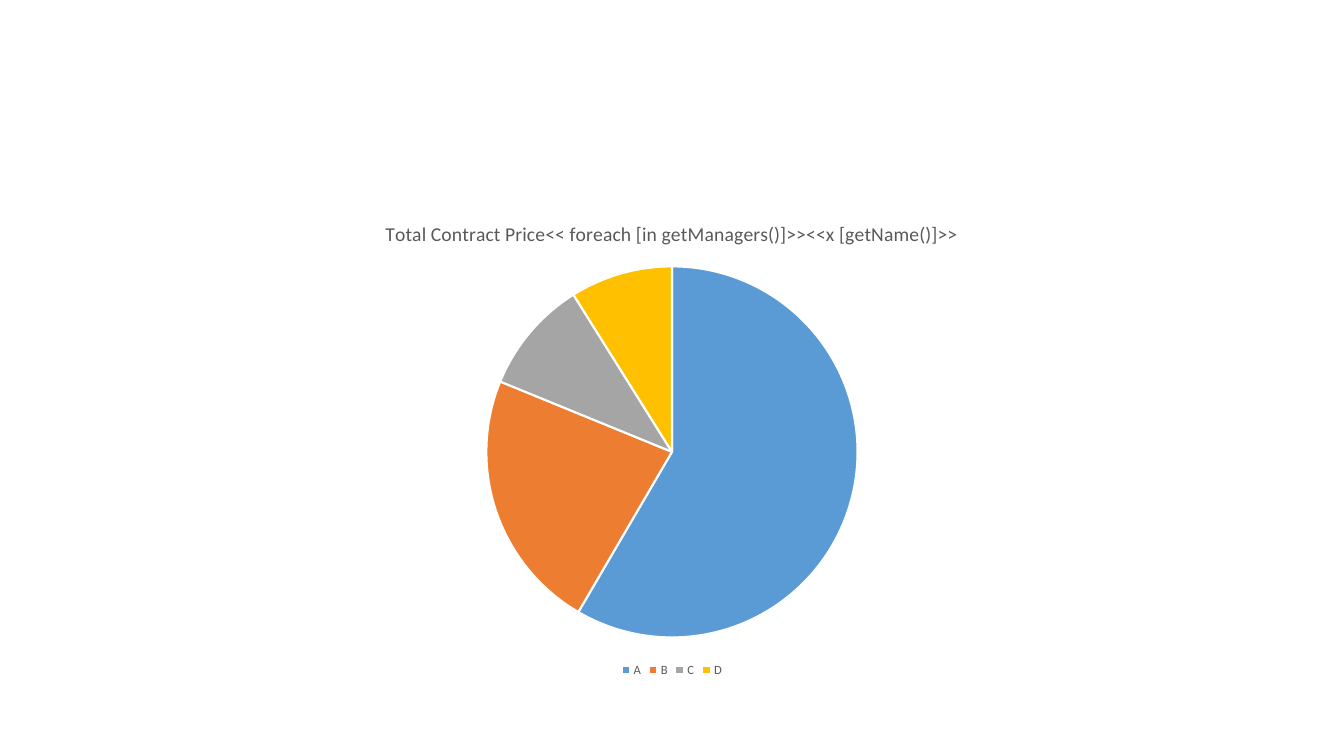
from pptx import Presentation
from pptx.chart.data import CategoryChartData
from pptx.dml.color import RGBColor
from pptx.enum.chart import XL_CHART_TYPE, XL_LEGEND_POSITION
from pptx.util import Inches, Pt

# Content
TITLE = "Total Contract Price<< foreach [in getManagers()]>><<x [getName()]>>"
SLICES = [("A", 59, "5B9BD5"), ("B", 23, "ED7D31"),
          ("C", 10, "A5A5A5"), ("D", 9, "FFC000")]
GREY, WHITE, BLACK = "595959", "FFFFFF", "000000"


def color(hex_value):
    return RGBColor.from_string(hex_value)


def set_font(font, size, hex_value):
    font.name = "Calibri"
    font.size = Pt(size)
    font.bold = False
    font.color.rgb = color(hex_value)


prs = Presentation()
prs.slide_width, prs.slide_height = Inches(13.33), Inches(7.5)
s = prs.slides.add_slide(prs.slide_layouts[6])

# Pie chart, centred across the slide
width, height = Inches(11.5), Inches(4.76)
left = (prs.slide_width - width) // 2
data = CategoryChartData()
data.categories = [name for name, _, _ in SLICES]
data.add_series("Series 1", [value for _, value, _ in SLICES])
chart = s.shapes.add_chart(XL_CHART_TYPE.PIE, left, Inches(2),
                           width, height, data).chart
set_font(chart.font, 10, BLACK)

# Chart title
chart.has_title = True
tf = chart.chart_title.text_frame
tf.text = TITLE
set_font(tf.paragraphs[0].font, 14, GREY)
chart.chart_title.include_in_layout = False

# Legend
chart.has_legend = True
chart.legend.position = XL_LEGEND_POSITION.BOTTOM
chart.legend.include_in_layout = False
set_font(chart.legend.font, 9, GREY)

# Slice colours
plot = chart.plots[0]
plot.vary_by_categories = True
for i, (_, _, fill) in enumerate(SLICES):
    fmt = plot.series[0].points[i].format
    fmt.fill.solid()
    fmt.fill.fore_color.rgb = color(fill)
    fmt.line.color.rgb = color(WHITE)
    fmt.line.width = Pt(1.5)

prs.save("out.pptx")
